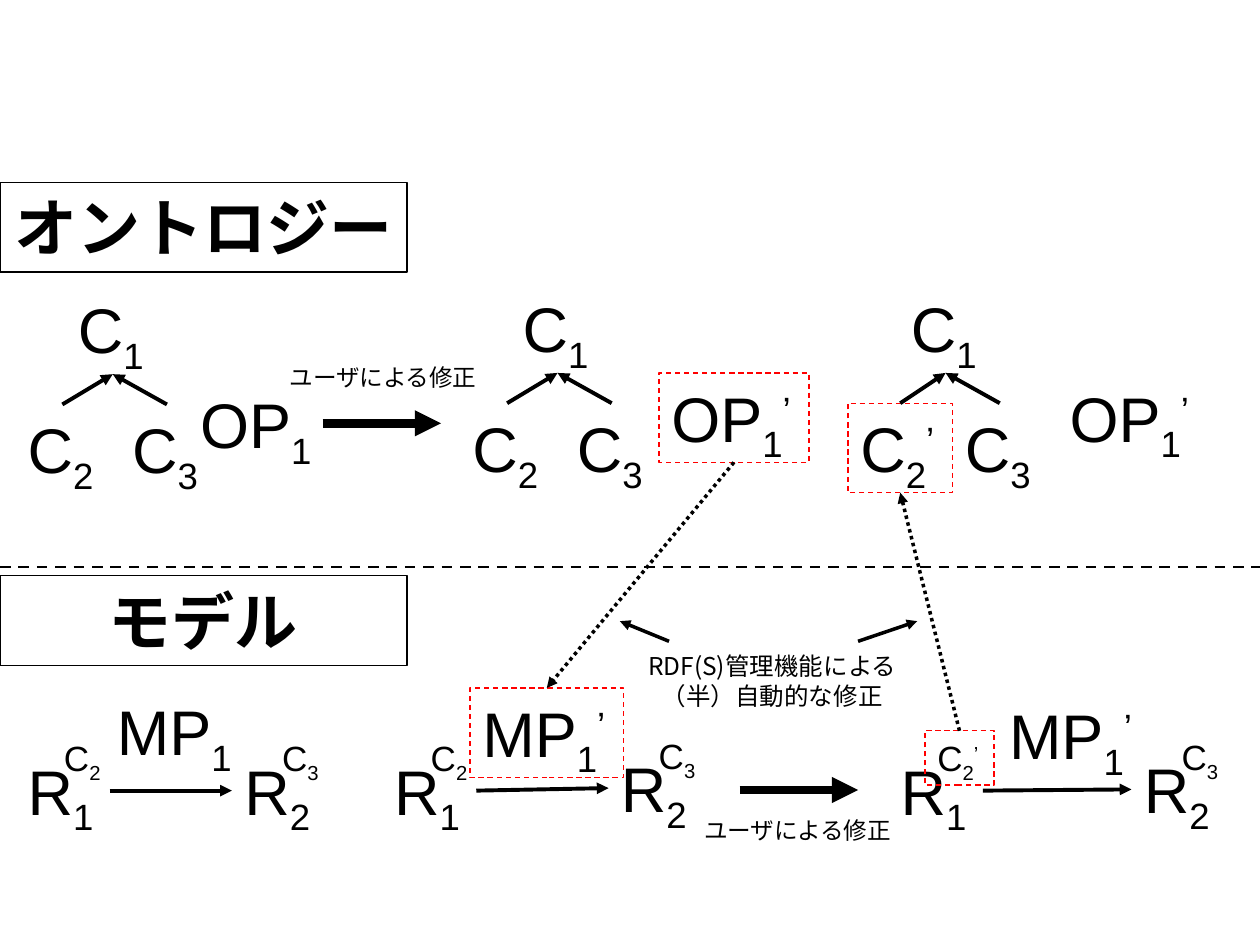
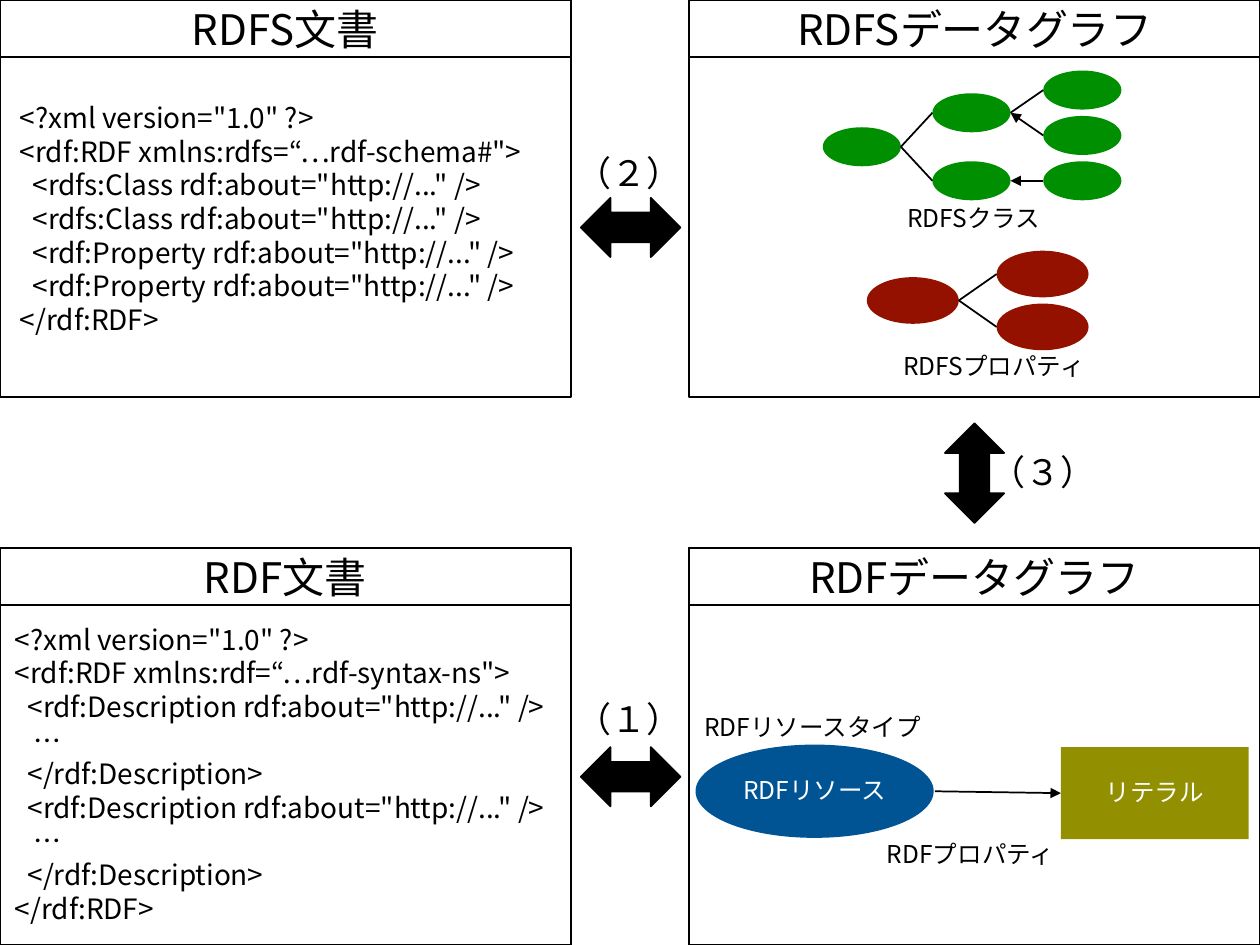
from lxml import etree
from pptx import Presentation
from pptx.dml.color import RGBColor
from pptx.enum import dml, shapes, text
from pptx.oxml import ns
from pptx.util import Inches, Pt

BLACK, WHITE, RED = "000000", "FFFFFF", "FF0000"
GREEN, BROWN, BLUE, OLIVE = "008F00", "941100", "005493", "929000"
LATIN, KANA = "Arial", "Noto Sans CJK JP"
KIND, DASH = shapes.MSO_SHAPE, dml.MSO_LINE
CENTER = text.PP_ALIGN.CENTER
TOP, LEFT, BOTTOM, RIGHT = range(4)


# Shared helpers
def color(code):
    return RGBColor.from_string(code)


def style(para, size, font=KANA, tint=BLACK, bold=False):
    f = para.font
    f.size, f.name, f.bold = Pt(size), font, bold
    f.color.rgb = color(tint)
    east = etree.SubElement(f._element, ns.qn("a:ea"))
    east.set("typeface", font)


def shape(slide, kind, x, y, w, h, fill=None, line=None, width=1):
    item = slide.shapes.add_shape(kind, Inches(x), Inches(y), Inches(w), Inches(h))
    item.shadow.inherit = False
    if fill:
        item.fill.solid()
        item.fill.fore_color.rgb = color(fill)
    else:
        item.fill.background()
    if line:
        item.line.color.rgb = color(line)
        item.line.width = Pt(width)
    else:
        item.line.fill.background()
    return item


def fit(item):
    """Let the frame grow with unwrapped text that starts at the top."""
    frame = item.text_frame
    frame.word_wrap = False
    frame.auto_size = text.MSO_AUTO_SIZE.SHAPE_TO_FIT_TEXT
    frame.vertical_anchor = text.MSO_ANCHOR.TOP
    return frame


def box(slide, x, y, w, h):
    return slide.shapes.add_textbox(Inches(x), Inches(y), Inches(w), Inches(h))


def write(frame, lines, size, align=None, tint=BLACK, bold=False):
    for i, line in enumerate(lines):
        para = frame.add_paragraph() if i else frame.paragraphs[0]
        para.text = line
        para.alignment = align
        style(para, size, KANA, tint, bold)


def note(slide, x, y, w, h, lines, size, align=None):
    write(fit(box(slide, x, y, w, h)), lines, size, align)


def link(slide, start, end, width=1, arrow=True, dash=None):
    """Each end is an (x, y) point or a (shape, side) pair."""
    ends = [p if isinstance(p[0], (int, float)) else (0, 0) for p in (start, end)]
    item = slide.shapes.add_connector(
        shapes.MSO_CONNECTOR.STRAIGHT, *[Inches(v) for p in ends for v in p])
    for p, join in ((start, item.begin_connect), (end, item.end_connect)):
        if not isinstance(p[0], (int, float)):
            join(*p)
    item.line.color.rgb = color(BLACK)
    item.line.width = Pt(width)
    if dash:
        item.line.dash_style = dash
    if arrow:
        tip = etree.SubElement(item.line._get_or_add_ln(), ns.qn("a:tailEnd"))
        tip.set("type", "triangle")
    etree.SubElement(item._element.spPr, ns.qn("a:effectLst"))


# Slide 1: symbols with index and prime
def term(slide, x, y, name, index, w=0.75, size=36, prime=False, framed=False):
    h = 0.71 if size == 36 else 0.43
    if framed:
        item = shape(slide, KIND.RECTANGLE, x, y, w, h, line=RED, width=0.75)
        item.line.dash_style = DASH.DASH
    else:
        item = box(slide, x, y, w, h)
    para = fit(item).paragraphs[0]
    para.alignment = text.PP_ALIGN.LEFT
    style(para, size, LATIN)
    parts = [(name, 0), (index, -25)] + [("’", 30)] * prime
    for word, shift in parts:
        run = para.add_run()
        run.text = word
        if shift:
            run.font._element.set("baseline", str(shift * 1000))
    return item


def tree(slide, x, y, changed=False):
    root = term(slide, x + 0.4, y, "C", "1")
    left = term(slide, x, y + 0.95, "C", "2", 0.83 if changed else 0.75,
                prime=changed, framed=changed)
    right = term(slide, x + 0.83, y + 0.95, "C", "3")
    for child in (left, right):
        link(slide, (child, TOP), (root, BOTTOM), 2.25)
    return left


def model(slide, x, end, y, changed=False):
    first = term(slide, x, 5.92, "R", "1")
    last = term(slide, end, y, "R", "2")
    link(slide, (first, RIGHT), (last, LEFT), 2.25)
    kind = term(slide, x + 0.29, 5.8, "C", "2", 0.55 if changed else 0.5, 20,
                changed, changed)
    term(slide, end + 0.3, y - 0.12, "C", "3", 0.5, 20)
    return kind


def changes(slide):
    # Headings and divider
    for y, name in ((1.45, "オントロジー"), (4.57, "モデル")):
        head = shape(slide, KIND.RECTANGLE, 0, y, 3.23, 0.71, line=BLACK, width=0.75)
        write(fit(head), [name], 36, CENTER, bold=True)
    link(slide, (0, 4.5), (10, 4.5), 1.5, False, DASH.DASH)

    # Ontology stages
    tree(slide, 0.12, 2.26)
    tree(slide, 3.65, 2.25)
    new_class = tree(slide, 6.73, 2.25, True)
    term(slide, 1.49, 3.01, "OP", "1", 1.12)
    new_op = term(slide, 5.23, 2.96, "OP", "1", 1.19, prime=True, framed=True)
    term(slide, 8.39, 2.96, "OP", "1", 1.19, prime=True)

    # Model stages
    model(slide, 0.12, 1.84, 5.92)
    model(slide, 3.03, 4.83, 5.9)
    new_type = model(slide, 7.05, 8.98, 5.91, True)
    term(slide, 0.83, 5.45, "MP", "1", 1.15)
    new_mp = term(slide, 3.73, 5.46, "MP", "1", 1.22, prime=True, framed=True)
    term(slide, 7.91, 5.48, "MP", "1", 1.22, prime=True)

    # Changes by the user
    for x, y, tx, ty in ((2.56, 3.36, 2.18, 2.83), (5.87, 6.27, 5.47, 6.43)):
        link(slide, (x, y), (x + 0.94, y), 5)
        note(slide, tx, ty, 1.72, 0.33, ["ユーザによる修正"], 13.5, CENTER)

    # Changes by the system
    link(slide, (new_op, BOTTOM), (new_mp, TOP), 2, dash=DASH.ROUND_DOT)
    link(slide, (new_type, TOP), (new_class, BOTTOM), 2, dash=DASH.ROUND_DOT)
    note(slide, 5.01, 5.12, 2.24, 0.57,
         ["RDF(S)管理機能による", "（半）自動的な修正"], 14, CENTER)
    link(slide, (6.81, 5.09), (7.28, 4.93), 2)
    link(slide, (5.31, 5.09), (4.92, 4.93), 2)


# Slide 2: documents and graphs
def panel(slide, x, y, title):
    shape(slide, KIND.RECTANGLE, x, y, 4.53, 3.15, WHITE, BLACK)
    head = shape(slide, KIND.RECTANGLE, x, y, 4.53, 0.45, WHITE, BLACK)
    write(head.text_frame, [title], 24, CENTER)


def code(slide, x, y, w, h, rows):
    frame = box(slide, x, y, w, h).text_frame
    frame.word_wrap = True
    write(frame, [line for _, line in rows], 16)
    for para, (depth, _) in zip(frame.paragraphs, rows):
        para._p.get_or_add_pPr().set("marL", str(Inches(0.05 * depth)))


def graph(slide, w, h, fill, nodes, edges):
    """Nodes are left-top points; edges are (parent, child, arrow)."""
    for x, y in nodes:
        shape(slide, KIND.OVAL, x, y, w, h, fill)
    for parent, child, arrow in edges:
        (px, py), (cx, cy) = nodes[parent], nodes[child]
        link(slide, (cx, cy + h / 2), (px + w, py + h / 2), 1, arrow)


def label(item, name):
    frame = item.text_frame
    frame.margin_left = frame.margin_right = Inches(0.01)
    frame.margin_top = frame.margin_bottom = Inches(0.01)
    write(frame, [name], 14, CENTER, WHITE)
    frame.paragraphs[0].line_spacing = 0.9


def mapping(slide):
    # Panels
    for y, name in ((0, "RDFS"), (4.35, "RDF")):
        panel(slide, 0, y, name + "文書")
        panel(slide, 5.47, y, name + "データグラフ")

    # Numbered double arrows
    for y in (1.57, 5.93):
        shape(slide, KIND.LEFT_RIGHT_ARROW, 4.61, y, 0.79, 0.47, BLACK, BLACK)
    shape(slide, KIND.UP_DOWN_ARROW, 7.5, 3.36, 0.47, 0.79, BLACK, BLACK)
    for x, y, mark in ((4.48, 5.49, "（１）"), (4.48, 1.15, "（２）"), (7.76, 3.53, "（３）")):
        note(slide, x, y, 1.04, 0.44, [mark], 20)

    # Class and property trees
    graph(slide, 0.62, 0.31, GREEN,
          [(6.53, 1.01), (7.4, 0.74), (7.4, 1.28),
           (8.28, 0.56), (8.28, 0.92), (8.28, 1.28)],
          [(0, 1, False), (0, 2, False), (1, 3, False), (1, 4, True), (2, 5, True)])
    graph(slide, 0.73, 0.37, BROWN, [(6.88, 2.2), (7.91, 1.99), (7.91, 2.41)],
          [(0, 1, False), (0, 2, False)])

    # Resource and literal
    source = shape(slide, KIND.OVAL, 5.52, 5.91, 1.89, 0.74, BLUE)
    label(source, "RDFリソース")
    value = shape(slide, KIND.RECTANGLE, 8.42, 5.93, 1.49, 0.73, OLIVE)
    label(value, "リテラル")
    link(slide, (7.42, 6.28), (value, LEFT))

    # Captions
    for x, y, w, name in ((7.1, 1.56, 1.32, "RDFSクラス"),
                          (7.07, 2.74, 1.71, "RDFSプロパティ"),
                          (5.49, 5.6, 1.98, "RDFリソースタイプ"),
                          (6.94, 6.61, 1.59, "RDFプロパティ")):
        note(slide, x, y, w, 0.34, [name], 14)

    # Document text as (indent, line)
    start, close = (0, '<?xml version="1.0" ?>'), (0, "</rdf:RDF>")
    entry = '<{} rdf:about="http://..." />'.format
    code(slide, 0.06, 0.75, 4.35, 1.99,
         [start, (0, '<rdf:RDF xmlns:rdfs=“…rdf-schema#">')]
         + [(2, entry("rdfs:Class"))] * 2 + [(2, entry("rdf:Property"))] * 2 + [close])
    about = [(2, entry("rdf:Description")), (3, "…"), (2, "</rdf:Description>")]
    code(slide, 0.02, 4.89, 4.59, 2.52,
         [start, (0, '<rdf:RDF xmlns:rdf=“…rdf-syntax-ns">')] + about * 2 + [close])


def main():
    deck = Presentation()
    deck.slide_width, deck.slide_height = Inches(10), Inches(7.5)
    for draw in (changes, mapping):
        draw(deck.slides.add_slide(deck.slide_layouts[6]))
    deck.save("out.pptx")


if __name__ == "__main__":
    main()
